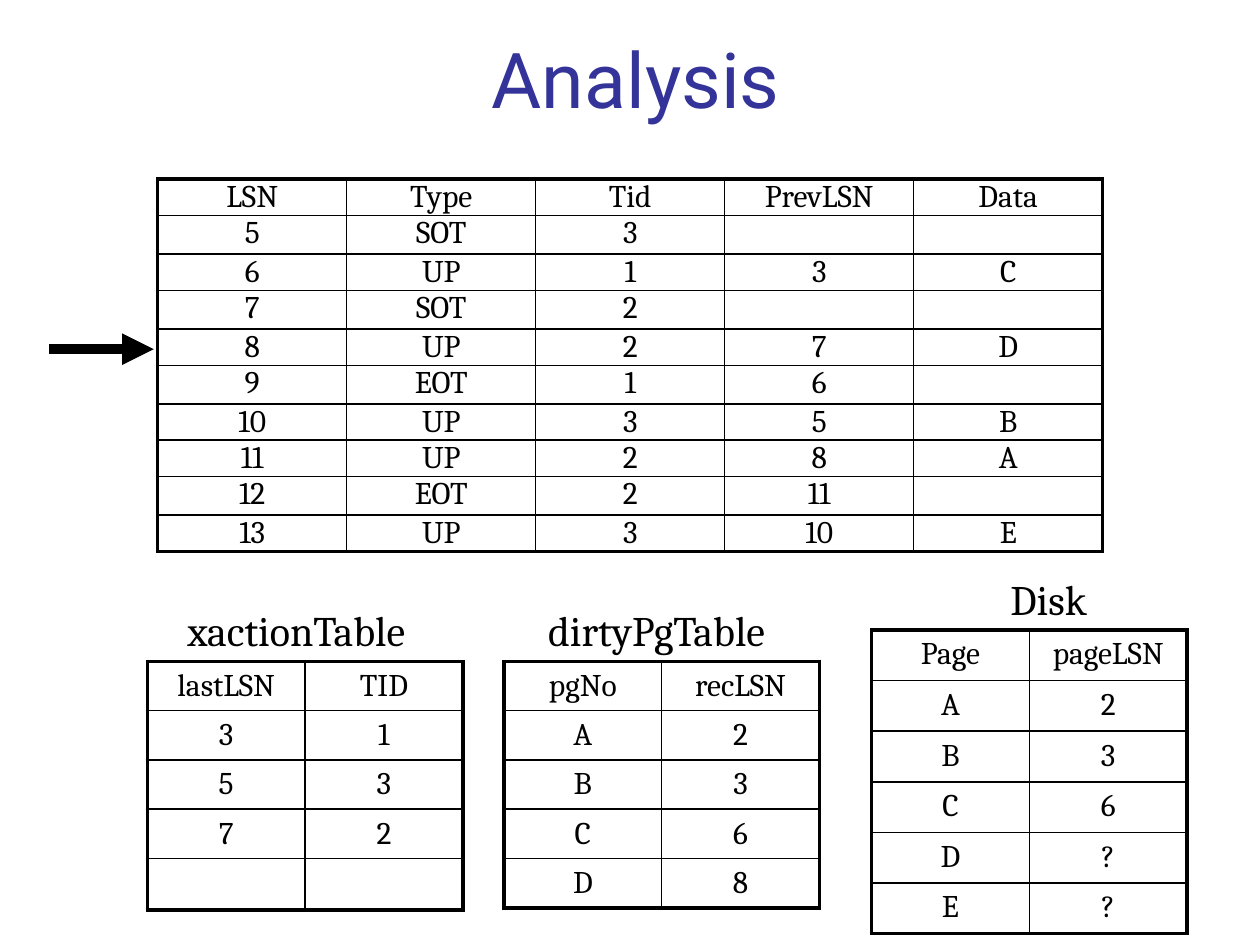
from lxml import etree
from pptx import Presentation
from pptx import util as u
from pptx.dml.color import RGBColor
from pptx.enum import shapes, text
from pptx.oxml.ns import qn

BLACK = RGBColor(0x00, 0x00, 0x00)
WHITE = RGBColor(0xFF, 0xFF, 0xFF)
NAVY = RGBColor(0x33, 0x33, 0x99)
THIN, THICK = u.Pt(1), u.Pt(2.25)


def write(frame, content, size=18, font="Cambria", color=BLACK, align=text.PP_ALIGN.CENTER):
    paragraph = frame.paragraphs[0]
    paragraph.text = content
    paragraph.alignment = align
    paragraph.font.size = u.Pt(size)
    for run in paragraph.runs:
        run.font.size = u.Pt(size)
        run.font.name = font
        run.font.color.rgb = color


def set_borders(cell, widths):
    properties = cell._tc.get_or_add_tcPr()
    for side, width in widths.items():
        line = etree.SubElement(properties, qn(f"a:ln{side}"), w=str(width))
        fill = etree.SubElement(line, qn("a:solidFill"))
        etree.SubElement(fill, qn("a:srgbClr"), val=str(BLACK))


presentation = Presentation()
presentation.slide_width = u.Cm(25.4)
presentation.slide_height = u.Cm(19.05)
slide = presentation.slides.add_slide(presentation.slide_layouts[5])

title = slide.shapes.title
title.left, title.top, title.width, title.height = u.Cm(1.07), u.Cm(0.2), u.Cm(23.5), u.Cm(2.74)
title.text_frame.vertical_anchor = text.MSO_ANCHOR.MIDDLE
write(title.text_frame, "Analysis", size=44, font="Roboto", color=NAVY)

arrow = slide.shapes.add_connector(
    shapes.MSO_CONNECTOR.STRAIGHT, u.Cm(0.99), u.Cm(7.04), u.Cm(3.1), u.Cm(7.04))
arrow.line.color.rgb = BLACK
arrow.line.width = u.Pt(6)
etree.SubElement(arrow.line._get_or_add_ln(), qn("a:tailEnd"), type="triangle")
etree.SubElement(arrow._element.spPr, qn("a:effectLst"))

log = [
    ("LSN", "Type", "Tid", "PrevLSN", "Data"),
    ("5", "SOT", "3", "", ""),
    ("6", "UP", "1", "3", "C"),
    ("7", "SOT", "2", "", ""),
    ("8", "UP", "2", "7", "D"),
    ("9", "EOT", "1", "6", ""),
    ("10", "UP", "3", "5", "B"),
    ("11", "UP", "2", "8", "A"),
    ("12", "EOT", "2", "11", ""),
    ("13", "UP", "3", "10", "E"),
]
transactions = [("lastLSN", "TID"), ("3", "1"), ("5", "3"), ("7", "2"), ("", "")]
dirty_pages = [("pgNo", "recLSN"), ("A", "2"), ("B", "3"), ("C", "6"), ("D", "8")]
disk = [("Page", "pageLSN"), ("A", "2"), ("B", "3"), ("C", "6"), ("D", "?"), ("E", "?")]

tables = [
    (log, 3.18, 3.61, 3.81, 0.73, 0.13, 0),
    (transactions, 2.97, 13.33, 3.18, 0.99, 0.25, 0.13),
    (dirty_pages, 10.16, 13.33, 3.18, 0.99, 0.25, 0.13),
    (disk, 17.57, 12.7, 3.18, 1.02, 0.25, 0.13),
]
for rows, left, top, column_width, row_height, side_margin, end_margin in tables:
    row_count, column_count = len(rows), len(rows[0])
    table = slide.shapes.add_table(
        row_count, column_count, u.Cm(left), u.Cm(top),
        u.Cm(column_width * column_count), u.Cm(row_height * row_count)).table
    table.first_row = table.horz_banding = False
    for column in table.columns:
        column.width = u.Cm(column_width)
    for row_index, values in enumerate(rows):
        table.rows[row_index].height = u.Cm(row_height)
        for column_index, value in enumerate(values):
            cell = table.cell(row_index, column_index)
            cell.margin_left = cell.margin_right = u.Cm(side_margin)
            cell.margin_top = cell.margin_bottom = u.Cm(end_margin)
            set_borders(cell, {
                "L": THICK if column_index == 0 else THIN,
                "R": THICK if column_index == column_count - 1 else THIN,
                "T": THICK if row_index == 0 else THIN,
                "B": THICK if row_index == row_count - 1 else THIN,
            })
            cell.fill.solid()
            cell.fill.fore_color.rgb = WHITE
            write(cell.text_frame, value)

labels = [
    ("xactionTable", 3.53, 12.07, 4.93),
    ("dirtyPgTable", 10.8, 12.07, 4.93),
    ("Disk", 20.12, 11.43, 2.11),
]
for caption, left, top, width in labels:
    label = slide.shapes.add_textbox(u.Cm(left), u.Cm(top), u.Cm(width), u.Cm(1.27))
    label.text_frame.word_wrap = False
    label.text_frame.auto_size = text.MSO_AUTO_SIZE.SHAPE_TO_FIT_TEXT
    write(label.text_frame, caption, size=24, align=text.PP_ALIGN.LEFT)

presentation.save("out.pptx")
